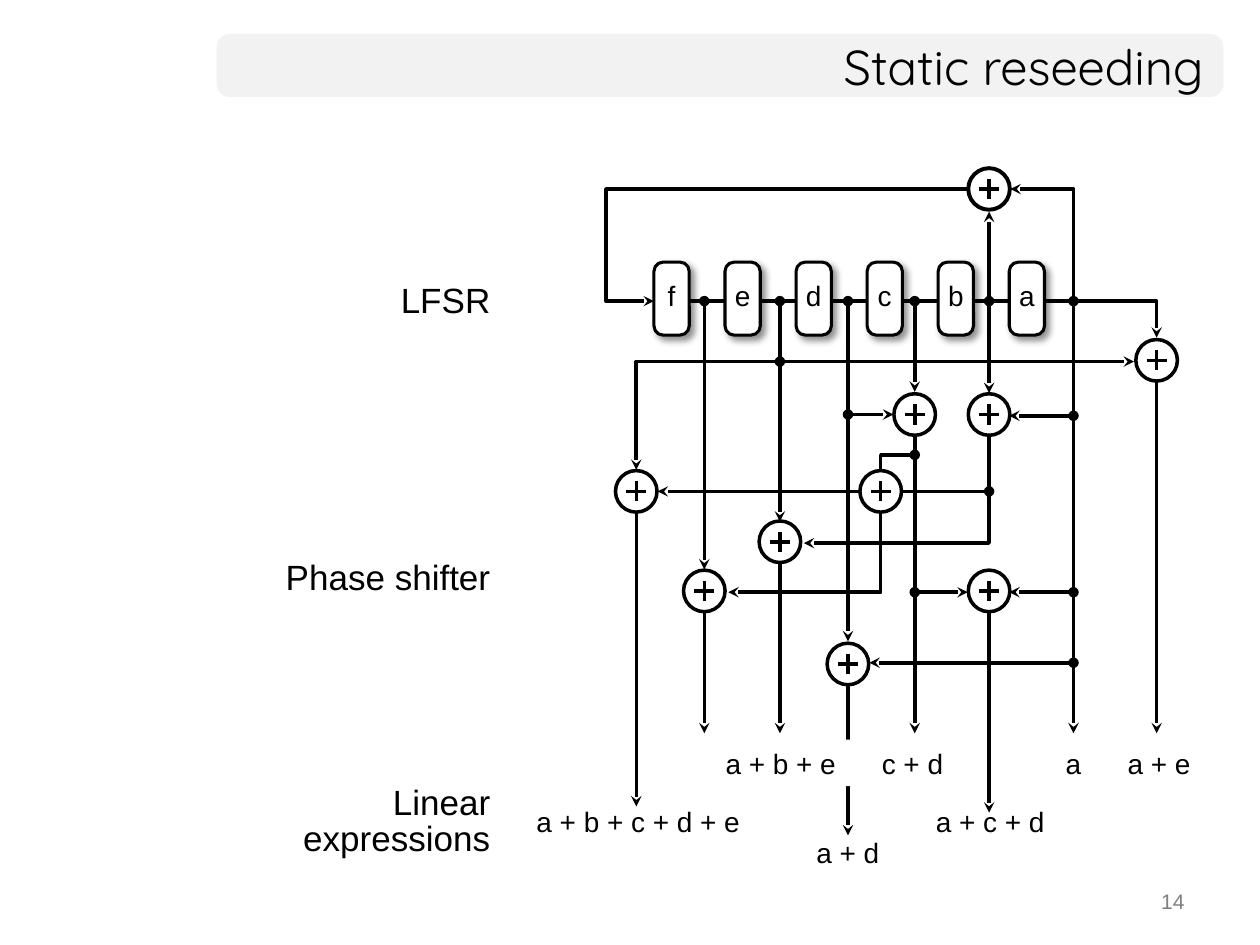
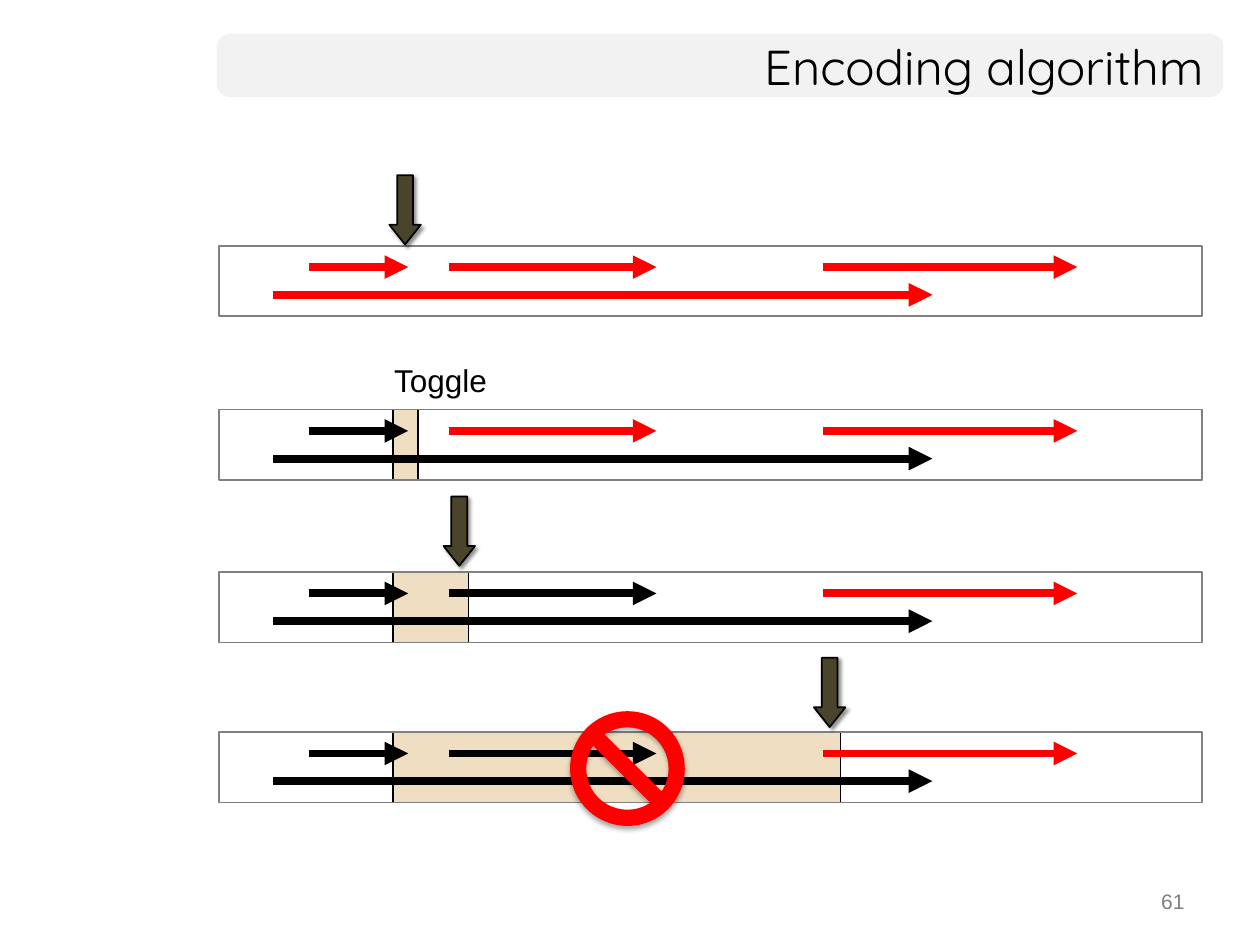
from lxml import etree
from pptx import Presentation
from pptx.dml.color import RGBColor
from pptx.enum import shapes, text
from pptx.oxml.ns import qn
from pptx.util import Inches, Pt

BLACK = RGBColor(0x00, 0x00, 0x00)
WHITE = RGBColor(0xFF, 0xFF, 0xFF)
RED = RGBColor(0xFF, 0x00, 0x00)
GREY = RGBColor(0x80, 0x80, 0x80)
BAND = RGBColor(0xF2, 0xF2, 0xF2)
TAN = RGBColor(0xEF, 0xDE, 0xC2)
OLIVE = RGBColor(0x4A, 0x45, 0x2A)

SHAPE = shapes.MSO_SHAPE
LEFT, CENTER, RIGHT = text.PP_ALIGN.LEFT, text.PP_ALIGN.CENTER, text.PP_ALIGN.RIGHT
TOP, MIDDLE = text.MSO_ANCHOR.TOP, text.MSO_ANCHOR.MIDDLE


def add_box(slide, at, words="", preset=None, fill=None, line=None, width=1, adj=(),
            shadow=None, size=16, font="Arial", color=BLACK, align=LEFT,
            anchor=MIDDLE, wrap=True, spacing=None):
    """Add a preset shape, or a text box if preset is None.

    shadow is (opacity %, blur pt, distance pt, angle in degrees).
    """
    frame = [Inches(length) for length in at]
    if preset is None:
        box = slide.shapes.add_textbox(*frame)
    else:
        box = slide.shapes.add_shape(preset, *frame)
        for index, value in enumerate(adj):
            box.adjustments[index] = value
        if line is None:
            box.line.fill.background()
        else:
            box.line.color.rgb = line
            box.line.width = Pt(width)
        box.shadow.inherit = False
    if fill is not None:
        box.fill.solid()
        box.fill.fore_color.rgb = fill
    else:
        box.fill.background()
    if shadow:
        opacity, blur, distance, angle = shadow
        effects = box._element.spPr.find(qn("a:effectLst"))
        outer = etree.SubElement(effects, qn("a:outerShdw"), blurRad=str(Pt(blur)),
                                 dist=str(Pt(distance)), dir=str(angle * 60000),
                                 algn="ctr", rotWithShape="0")
        tint = etree.SubElement(outer, qn("a:srgbClr"), val=str(BLACK))
        etree.SubElement(tint, qn("a:alpha"), val=str(opacity * 1000))
    if words:
        body = box.text_frame
        body.text = words
        body.word_wrap = wrap
        body.vertical_anchor = anchor
        paragraph = body.paragraphs[0]
        paragraph.alignment = align
        paragraph.line_spacing = spacing
        run_font = paragraph.runs[0].font
        run_font.name, run_font.size = font, Pt(size)
        run_font.color.rgb = color
    return box


def add_wire(slide, points, head=None, tail=None, color=BLACK, width=2):
    """Draw a connector between two points, or an open outline through more."""
    corners = [(Inches(x), Inches(y)) for x, y in points]
    if len(corners) == 2:
        wire = slide.shapes.add_connector(shapes.MSO_CONNECTOR.STRAIGHT,
                                          *corners[0], *corners[1])
        etree.SubElement(wire._element.spPr, qn("a:effectLst"))
    else:
        builder = slide.shapes.build_freeform(*corners[0])
        builder.add_line_segments(corners[1:], close=False)
        wire = builder.convert_to_shape()
        wire.fill.background()
        wire.shadow.inherit = False
    wire.line.color.rgb = color
    wire.line.width = Pt(width)
    for end, kind in (("a:headEnd", head), ("a:tailEnd", tail)):
        if kind:
            etree.SubElement(wire.line._get_or_add_ln(), qn(end), type=kind)


prs = Presentation()
prs.slide_width, prs.slide_height = Inches(10), Inches(7.5)

slides = []
for title, number in (("Static reseeding", "14"), ("Encoding algorithm", "61")):
    slide = prs.slides.add_slide(prs.slide_layouts[6])
    add_box(slide, (1.72, 0.27, 7.99, 0.5), preset=SHAPE.ROUNDED_RECTANGLE,
            fill=BAND, adj=[0.208])
    add_box(slide, (1.72, 0.27, 7.93, 0.5), title, size=28, font="Quicksand", align=RIGHT)
    add_box(slide, (7.17, 7, 2.33, 0.35), number, size=12, color=GREY,
            align=RIGHT, anchor=TOP)
    slides.append(slide)
reseeding, encoding = slides

# Static reseeding: columns are the wires that leave each register
ABCDE, F, E, D, C, B, A, AE = 5.05, 5.59, 6.19, 6.73, 7.26, 7.85, 8.52, 9.18
MIXER = 6.99
FEEDBACK_Y, REGISTER_Y, OUTPUT_Y = 1.5, 2.39, 5.82

adders = [(B, FEEDBACK_Y), (AE, 2.86), (C, 3.29), (B, 3.29), (ABCDE, 3.9),
          (MIXER, 3.9), (E, 4.3), (F, 4.69), (B, 4.69), (D, 5.27)]

# Wires that leave an adder, or run between parts, without a junction dot
for points in (
    [(5.42, REGISTER_Y), (A, REGISTER_Y), (A, FEEDBACK_Y), (8.02, FEEDBACK_Y)],
    [(7.74, FEEDBACK_Y), (4.81, FEEDBACK_Y), (4.81, REGISTER_Y), (5.19, REGISTER_Y)],
    [(8.55, REGISTER_Y), (AE, REGISTER_Y), (AE, 2.68)],
    [(E, 2.87), (ABCDE, 2.87), (ABCDE, 3.73)],
    [(B, 3.39), (B, 4.31), (6.38, 4.31)],
    [(ABCDE, 4.04), (ABCDE, 6.4)],
    [(F, 4.86), (F, OUTPUT_Y)],
    [(E, 4.39), (E, OUTPUT_Y)],
    [(D, 5.3), (D, 6.63)],
    [(C, 3.44), (C, OUTPUT_Y)],
    [(B, REGISTER_Y), (B, 3.12)],
    [(B, 4.79), (B, 6.45)],
    [(AE, 2.96), (AE, OUTPUT_Y)],
):
    add_wire(reseeding, points, tail="stealth")

# Wires that branch off at a junction dot
for points in (
    [(F, REGISTER_Y), (F, 4.52)],
    [(E, REGISTER_Y), (E, 4.14)],
    [(D, REGISTER_Y), (D, 5.09)],
    [(C, REGISTER_Y), (C, 3.11)],
    [(B, REGISTER_Y), (B, 1.68)],
    [(A, REGISTER_Y), (A, OUTPUT_Y)],
    [(E, 2.87), (9, 2.87)],
    [(D, 3.29), (7.09, 3.29)],
    [(A, 3.3), (8.01, 3.3)],
    [(B, 3.9), (5.22, 3.9)],
    [(C, 4.7), (7.68, 4.7)],
    [(A, 4.7), (8.01, 4.7)],
    [(A, 5.26), (6.9, 5.26)],
    [(MIXER, 3.91), (MIXER, 4.7), (5.78, 4.7)],
):
    add_wire(reseeding, points, head="oval", tail="stealth")
add_wire(reseeding, [(C, 3.61), (MIXER, 3.61), (MIXER, 3.8)], head="oval")

RADIUS, ARM = 0.165, 0.08
for x, y in adders:
    weight = 2.25 if y == FEEDBACK_Y else 2
    add_box(reseeding, (x - RADIUS, y - RADIUS, 2 * RADIUS, 2 * RADIUS),
            preset=SHAPE.OVAL, fill=WHITE, line=BLACK, width=weight)
    add_wire(reseeding, [(x, y - ARM), (x, y + ARM)], width=weight)
    add_wire(reseeding, [(x - ARM, y), (x + ARM, y)], width=weight)

for position, letter in enumerate("fedcba"):
    register = add_box(reseeding, (5.19 + 0.564 * position, 2.08, 0.28, 0.58), letter,
                       preset=SHAPE.ROUNDED_RECTANGLE, fill=WHITE, line=BLACK,
                       width=1.75, adj=[0.262], shadow=(43, 4, 3, 45),
                       align=CENTER, wrap=False)
    body = register.text_frame
    body.margin_left = body.margin_right = body.margin_top = 0
    body.margin_bottom = Inches(0.05)

for stage, at, spacing in (
    ("LFSR", (2.84, 2.16, 1.15, 0.44), None),
    ("Phase shifter", (2, 4.4, 1.99, 0.4), 0.85),
    ("Linear expressions", (2.25, 6.19, 1.74, 0.68), 0.85),
):
    add_box(reseeding, at, stage, size=20, align=RIGHT, spacing=spacing)

for expression, left, top, width in (
    ("a", 8.36, 5.87, 0.33),
    ("a + e", 8.85, 5.87, 0.71),
    ("c + d", 6.9, 5.87, 0.69),
    ("a + b + e", 5.66, 5.87, 1.09),
    ("a + c + d", 7.33, 6.33, 1.07),
    ("a + b + c + d + e", 4.16, 6.33, 1.84),
    ("a + d", 6.38, 6.58, 0.71),
):
    hides_wire = expression == "a + b + e"
    add_box(reseeding, (left, top, width, 0.37), expression, wrap=False,
            fill=WHITE if hides_wire else None)

# Encoding algorithm: spans are (start, end, drop below the row top),
# listed in the order in which they turn from red to black
UPPER, LOWER = 0.17, 0.39
spans = [(2.45, 3.24, UPPER), (2.17, 7.4, LOWER), (3.56, 5.21, UPPER), (6.53, 8.55, UPPER)]
ROW_HEIGHT = 0.56

# Row top, toggled width, number of encoded spans, pointer left and top
for top, toggled, encoded, pointer in (
    (1.95, 0, 0, (3.09, 1.39)),
    (3.25, 0.2, 2, None),
    (4.54, 0.6, 3, (3.52, 3.94)),
    (5.81, 3.55, 3, (6.46, 5.22)),
):
    if toggled:
        add_box(encoding, (3.12, top, toggled, ROW_HEIGHT), preset=SHAPE.RECTANGLE,
                fill=TAN, line=BLACK)
    add_box(encoding, (1.74, top, 7.8, ROW_HEIGHT), preset=SHAPE.RECTANGLE, line=GREY)
    for order, (start, end, drop) in enumerate(spans):
        add_wire(encoding, [(start, top + drop), (end, top + drop)], tail="triangle",
                 color=BLACK if order < encoded else RED, width=4.5)
    if pointer:
        add_box(encoding, (*pointer, 0.25, 0.55), preset=SHAPE.DOWN_ARROW, fill=OLIVE,
                line=BLACK, adj=[0.5, 0.626], shadow=(43, 2, 2, 45))

add_box(encoding, (3.03, 2.82, 0.94, 0.4), "Toggle", size=18, anchor=TOP)
add_box(encoding, (4.53, 5.65, 0.9, 0.9), preset=SHAPE.NO_SYMBOL, fill=RED, line=RED,
        width=0.75, adj=[0.131], shadow=(35, 3.1, 1.8, 90))

prs.save("out.pptx")
